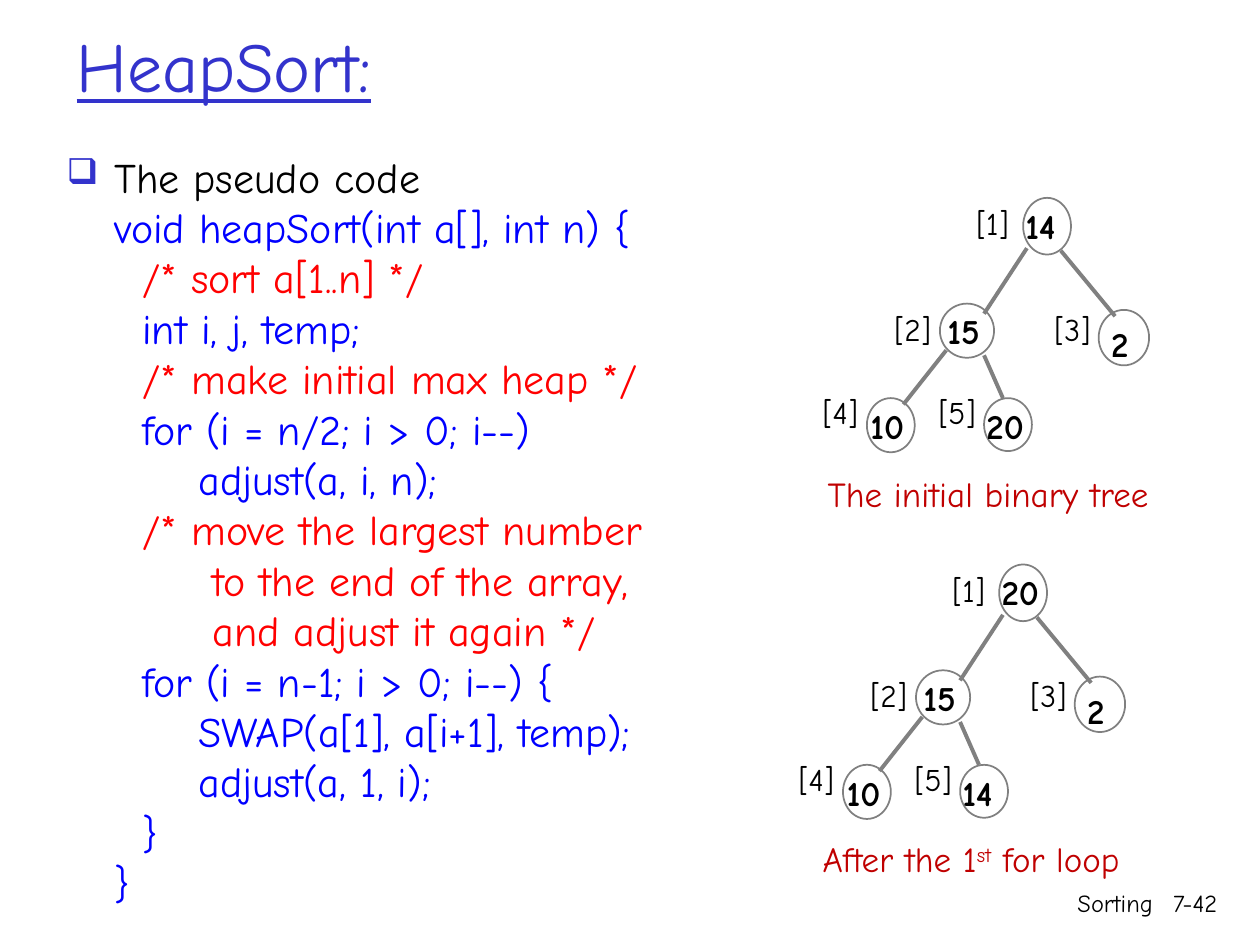
from lxml.etree import SubElement
from pptx import Presentation
from pptx.dml.color import RGBColor
from pptx.enum.shapes import MSO_CONNECTOR, MSO_SHAPE
from pptx.enum.text import MSO_ANCHOR, MSO_AUTO_SIZE, PP_ALIGN
from pptx.oxml.ns import qn
from pptx.util import Inches, Pt

FONT = "Comic Neue"
COLORS = {
    "title": "3333CC",
    "text": "000000",
    "code": "0000FF",
    "note": "FF0000",
    "label": "C00000",
    "line": "808080",
}


def add_run(para, text, size, color, bold=False):
    run = para.add_run()
    run.text = text
    run.font.name = FONT
    run.font.size = Pt(size)
    run.font.bold = bold
    run.font.color.rgb = RGBColor.from_string(COLORS[color])
    return run


def add_box(shapes, left, top, width, height, wrap=False):
    """Add an empty text box and return its first paragraph and its frame."""
    box = shapes.add_textbox(Inches(left), Inches(top), Inches(width), Inches(height))
    frame = box.text_frame
    frame.word_wrap = wrap
    frame.auto_size = MSO_AUTO_SIZE.NONE if wrap else MSO_AUTO_SIZE.SHAPE_TO_FIT_TEXT
    return frame.paragraphs[0], frame


prs = Presentation()
prs.slide_width, prs.slide_height = Inches(10), Inches(7.5)
slide = prs.slides.add_slide(prs.slide_layouts[6])

# Title
para, frame = add_box(slide.shapes, 0.51, 0.25, 8.5, 0.52, wrap=True)
frame.vertical_anchor = MSO_ANCHOR.MIDDLE
add_run(para, "HeapSort:", 40, "title").font.underline = True

# Pseudo code: one bulleted paragraph with line breaks
code = [
    ("text", "The pseudo code"),
    ("code", "void heapSort(int a[], int n) {"),
    ("note", "  /* sort a[1..n] */"),
    ("code", "  int i, j, temp;"),
    ("note", "  /* make initial max heap */"),
    ("code", "  for (i = n/2; i > 0; i--)"),
    ("code", "      adjust(a, i, n);"),
    ("note", "  /* move the largest number"),
    ("note", "       to the end of the array,"),
    ("note", "       and adjust it again */"),
    ("code", "  for (i = n-1; i > 0; i--) {"),
    ("code", "      SWAP(a[1], a[i+1], temp);"),
    ("code", "      adjust(a, 1, i);"),
    ("code", "  }"),
    ("code", "}"),
]
para, frame = add_box(slide.shapes, 0.43, 1.15, 9.4, 5.08, wrap=True)
props = para._p.get_or_add_pPr()
props.set("marL", str(Inches(0.38)))
props.set("indent", str(-Inches(0.38)))
SubElement(SubElement(props, qn("a:buClr")), qn("a:srgbClr"), val=COLORS["title"])
SubElement(props, qn("a:buSzPct"), val="85000")
SubElement(props, qn("a:buChar"), char="❑")
for row, (color, text) in enumerate(code):
    if row:
        para.add_line_break()
    add_run(para, text, 24, color)

# Footer
for text, left, width in [("Sorting", 6.08, 3.17), ("7-42", 9.08, 0.68)]:
    para, frame = add_box(slide.shapes, left, 7, width, 0.5, wrap=True)
    para.alignment = PP_ALIGN.RIGHT
    add_run(para, text, 14, "text")

# Tree layout: circle (left, top, width, height), value box, index tag
nodes = [
    ((8.12, 1.57, 0.38, 0.45), (8.04, 1.57, 0.55), (7.65, 1.57, 0.5)),
    ((7.46, 2.41, 0.43, 0.43), (7.42, 2.41, 0.55), (7.0, 2.41, 0.55)),
    ((8.72, 2.46, 0.4, 0.44), (8.72, 2.51, 0.37), (8.27, 2.41, 0.55)),
    ((6.88, 3.16, 0.38, 0.43), (6.81, 3.16, 0.58), (6.43, 3.07, 0.55)),
    ((7.81, 3.16, 0.38, 0.42), (7.73, 3.16, 0.55), (7.35, 3.07, 0.55)),
]
edges = [
    (8.15, 1.97, 7.81, 2.49),
    (8.42, 1.99, 8.85, 2.51),
    (7.51, 2.78, 7.17, 3.21),
    (7.81, 2.82, 7.96, 3.16),
]
trees = [
    (0, 0, [14, 15, 2, 10, 20]),
    (-0.19, 2.91, [20, 15, 2, 10, 14]),
]
gray = RGBColor.from_string(COLORS["line"])

for dx, dy, values in trees:
    shapes = slide.shapes.add_group_shape().shapes
    for (disc, spot, tag), value in zip(nodes, values):
        left, top, width, height = disc
        oval = shapes.add_shape(MSO_SHAPE.OVAL, Inches(left + dx), Inches(top + dy),
                                Inches(width), Inches(height))
        oval.shadow.inherit = False
        oval.fill.background()
        oval.line.color.rgb = gray
        oval.line.width = Pt(1)
        left, top, width = spot
        para, frame = add_box(shapes, left + dx, top + dy, width, 0.44)
        add_run(para, str(value), 20, "text", bold=True)
    for x1, y1, x2, y2 in edges:
        edge = shapes.add_connector(MSO_CONNECTOR.STRAIGHT, Inches(x1 + dx), Inches(y1 + dy),
                                    Inches(x2 + dx), Inches(y2 + dy))
        edge.line.color.rgb = gray
        edge.line.width = Pt(2.25)
        SubElement(edge._element.spPr, qn("a:effectLst"))
    for index, (disc, spot, tag) in enumerate(nodes, 1):
        left, top, width = tag
        para, frame = add_box(shapes, left + dx, top + dy, width, 0.4)
        add_run(para, f"[{index}]", 18, "text")

# Captions
para, frame = add_box(slide.shapes, 6.47, 3.7, 3.09, 0.44)
add_run(para, "The initial binary tree", 20, "label")
para, frame = add_box(slide.shapes, 6.43, 6.6, 3.09, 0.44)
add_run(para, "After the 1", 20, "label")
power = add_run(para, "st", 20, "label")
power._r.get_or_add_rPr().set("baseline", "30000")
add_run(para, " for loop", 20, "label")

prs.save("out.pptx")
